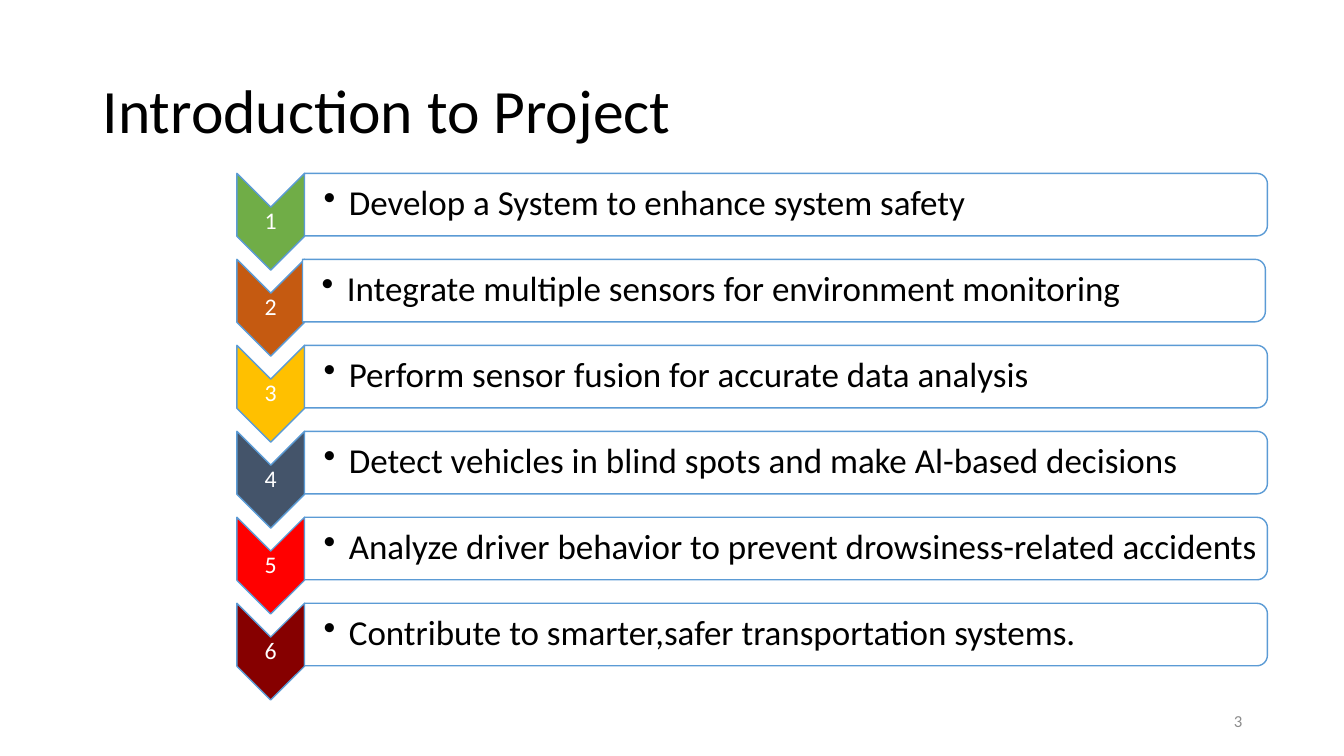
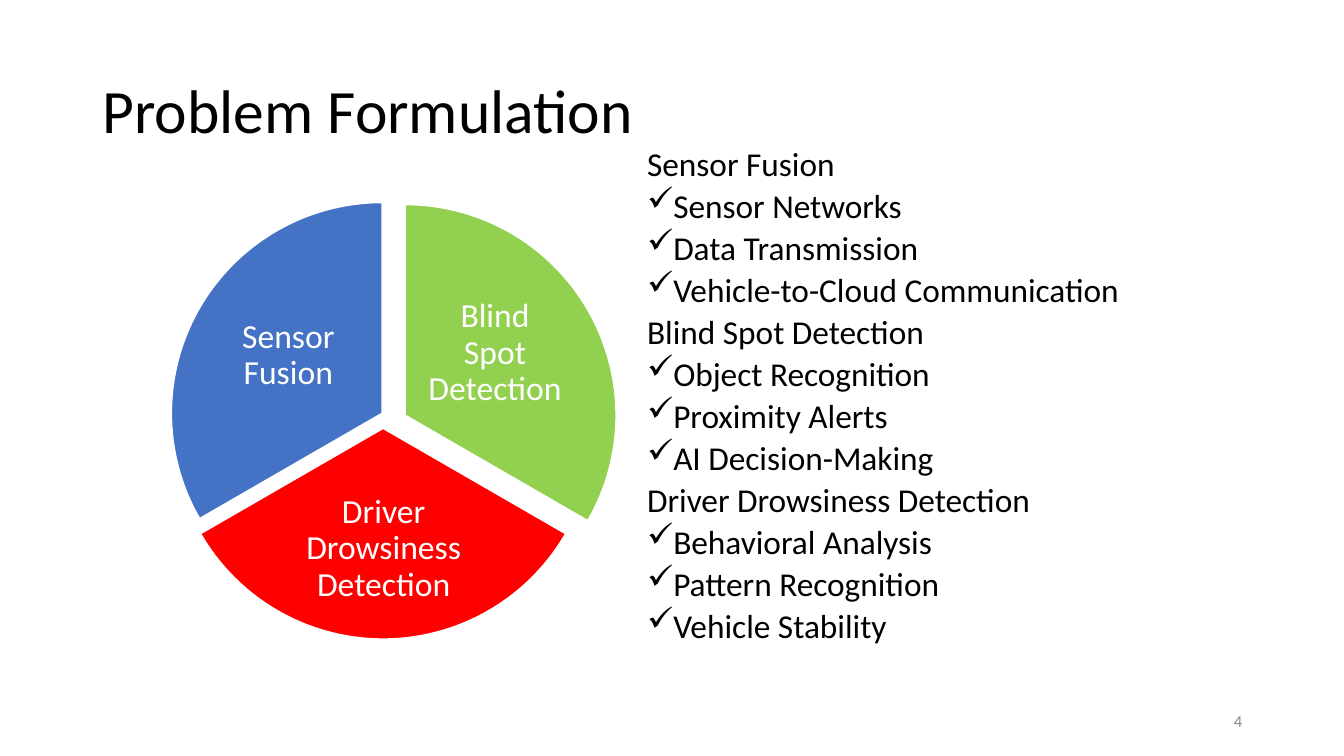
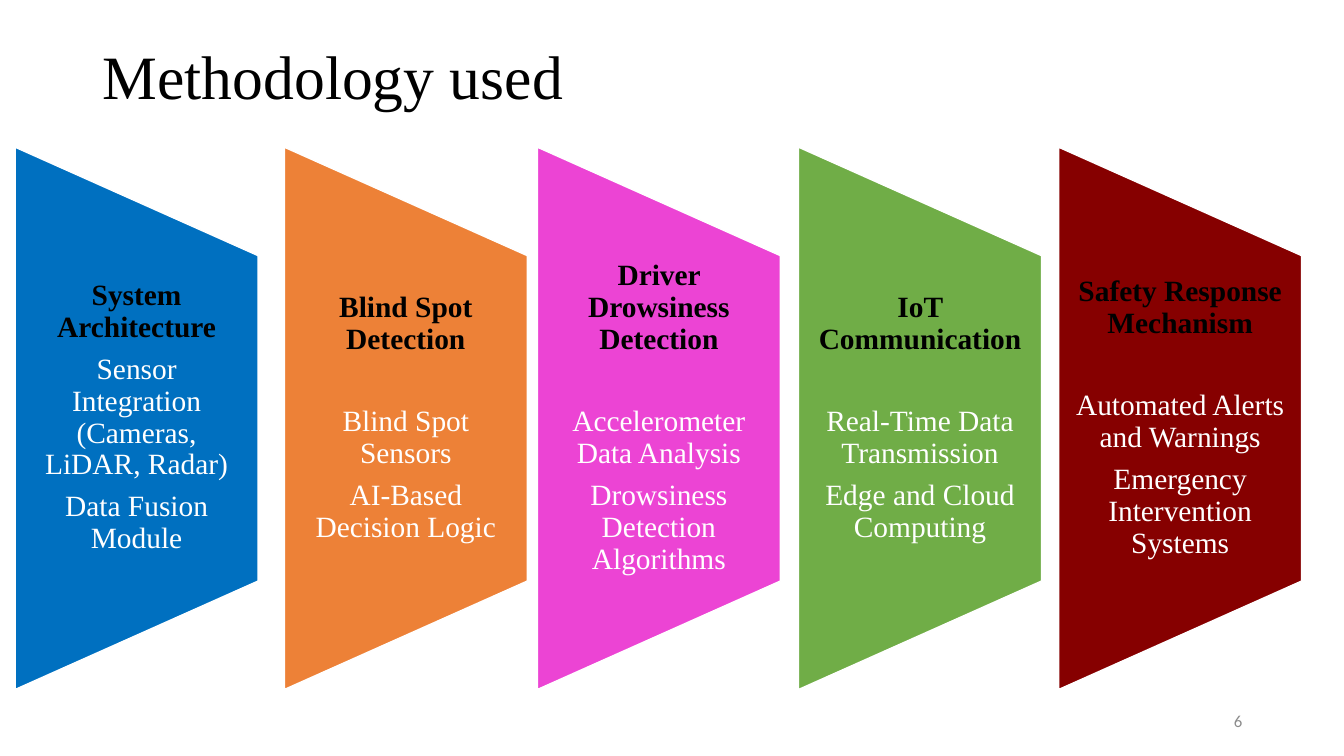
from lxml import etree
from pptx import Presentation
from pptx.dml.color import RGBColor
from pptx.enum.shapes import MSO_SHAPE
from pptx.enum.text import MSO_ANCHOR, PP_ALIGN
from pptx.oxml.ns import qn
from pptx.util import Inches, Pt

CHEVRON = MSO_SHAPE.CHEVRON
PANEL = MSO_SHAPE.ROUND_2_SAME_RECTANGLE
PIE = MSO_SHAPE.PIE
TRAPEZOID = MSO_SHAPE.FLOWCHART_MANUAL_OPERATION
TOP, MIDDLE = MSO_ANCHOR.TOP, MSO_ANCHOR.MIDDLE
LEFT, CENTER, RIGHT = PP_ALIGN.LEFT, PP_ALIGN.CENTER, PP_ALIGN.RIGHT

SANS, SERIF = "Calibri", "Times New Roman"
COLORS = {
    "black": "000000", "white": "FFFFFF", "gray": "8C8C8C", "outline": "5B9BD5",
    "green": "70AD47", "rust": "C55A11", "gold": "FFC000", "slate": "44546A",
    "red": "FF0000", "maroon": "860000", "lime": "92D050", "blue": "4472C4",
    "azure": "0070C0", "orange": "ED8137", "pink": "EC44D4",
}

GOALS = [
    ("green", "Develop a System to enhance system safety"),
    ("rust", "Integrate multiple sensors for environment monitoring"),
    ("gold", "Perform sensor fusion for accurate data analysis"),
    ("slate", "Detect vehicles in blind spots and make Al-based decisions"),
    ("red", "Analyze driver behavior to prevent drowsiness-related accidents"),
    ("maroon", "Contribute to smarter,safer transportation systems."),
]
SECTORS = [
    ("lime", 1.93, 2.03, 270, "Blind Spot Detection", (4.21, 2.81, 1.4, 1.39)),
    ("red", 1.71, 2.16, 30, "Driver Drowsiness Detection", (2.86, 4.8, 1.89, 1.29)),
    ("blue", 1.7, 2.01, 150, "Sensor Fusion", (2.16, 2.83, 1.4, 1.39)),
]
TOPICS = {
    "Sensor Fusion": ["Sensor Networks", "Data Transmission", "Vehicle-to-Cloud Communication"],
    "Blind Spot Detection": ["Object Recognition", "Proximity Alerts", "AI Decision-Making"],
    "Driver Drowsiness Detection": ["Behavioral Analysis", "Pattern Recognition", "Vehicle Stability"],
}
STAGES = [
    ("azure", 0.15, 7.35, "System Architecture",
     ["Sensor Integration (Cameras, LiDAR, Radar)", "Data Fusion Module"]),
    ("orange", 2.82, 36.4, "Blind Spot Detection",
     ["Blind Spot Sensors", "AI-Based Decision Logic"]),
    ("pink", 5.33, 36.4, "Driver Drowsiness Detection",
     ["Accelerometer Data Analysis", "Drowsiness Detection Algorithms"]),
    ("green", 7.92, 36.4, "IoT Communication",
     ["Real-Time Data Transmission", "Edge and Cloud Computing"]),
    ("maroon", 10.5, 36.4, "Safety Response Mechanism",
     ["Automated Alerts and Warnings", "Emergency Intervention Systems"]),
]


def color(name):
    return RGBColor.from_string(COLORS[name])


class Deck:
    def __init__(self):
        self.presentation = Presentation()
        self.presentation.slide_width = Inches(13.33)
        self.presentation.slide_height = Inches(7.5)
        self.slide = None

    def start_slide(self, title, number, font=SANS, title_top=0.4):
        self.slide = self.presentation.slides.add_slide(self.presentation.slide_layouts[6])
        frame = self.text_box(0.92, title_top, 11.5, 1.45)
        self.paragraph(frame, title, 44, font=font)
        frame = self.text_box(9.42, 6.95, 3, 0.4)
        self.paragraph(frame, str(number), 12, "gray", align=RIGHT, spacing=1)

    def text_box(self, left, top, width, height, insets=(0.1, 0.05, 0.1, 0.05), anchor=MIDDLE):
        box = self.slide.shapes.add_textbox(
            Inches(left), Inches(top), Inches(width), Inches(height))
        frame = box.text_frame
        frame.word_wrap = True
        frame.vertical_anchor = anchor
        (frame.margin_left, frame.margin_top,
         frame.margin_right, frame.margin_bottom) = map(Inches, insets)
        return frame

    def paragraph(self, frame, text, size, ink="black", font=SANS, bold=False, align=LEFT,
                  spacing=0.9, before=0, after=0, bullet=None):
        paragraph = frame.paragraphs[0] if not frame.text else frame.add_paragraph()
        paragraph.text = text
        paragraph.alignment = align
        paragraph.line_spacing = spacing
        paragraph.space_before, paragraph.space_after = Pt(before), Pt(after)
        run_font = paragraph.runs[0].font
        run_font.name, run_font.size, run_font.bold = font, Pt(size), bold
        run_font.color.rgb = color(ink)
        if bullet:
            properties = paragraph._p.get_or_add_pPr()
            properties.set("marL", str(Inches(0.25)))
            properties.set("indent", str(-Inches(0.25)))
            etree.SubElement(properties, qn("a:buChar")).set("char", bullet)

    def shape(self, kind, left, top, width, height, fill, line="white", rotation=0):
        if rotation:
            left, top = left + (width - height) / 2, top + (height - width) / 2
            width, height = height, width
        shape = self.slide.shapes.add_shape(
            kind, Inches(left), Inches(top), Inches(width), Inches(height))
        shape.rotation = rotation
        shape.shadow.inherit = False
        shape.fill.solid()
        shape.fill.fore_color.rgb = color(fill)
        shape.line.color.rgb = color(line)
        shape.line.width = Pt(1)
        return shape

    def goal(self, index, fill, text):
        top = 1.72 + 0.853 * index
        panel_left = 3.0 if index == 1 else 3.02
        self.shape(CHEVRON, 2.35, top, 0.67, 0.96, fill, "outline", 90)
        frame = self.text_box(2.35, top + 0.34, 0.67, 0.29, [0.01] * 4)
        self.paragraph(frame, str(index + 1), 17, "white", align=CENTER)
        self.shape(PANEL, panel_left, top, 9.55, 0.62, "white", "outline", 90)
        frame = self.text_box(panel_left, top + 0.03, 9.52, 0.56, (0.19, 0.02, 0.02, 0.02))
        self.paragraph(frame, text, 25, bullet="•")

    def sector(self, fill, left, top, start, text, text_area):
        pie = self.shape(PIE, left, top, 4.18, 4.18, fill)
        pie.adjustments[0] = start * 0.6
        pie.adjustments[1] = (start + 120) % 360 * 0.6
        frame = self.text_box(*text_area, insets=[0.03] * 4)
        self.paragraph(frame, text, 24, "white", align=CENTER)

    def topic_list(self, topics):
        frame = self.text_box(6.32, 1.48, 6.1, 5.27, anchor=TOP)
        for heading, items in topics.items():
            self.paragraph(frame, heading, 23.8, spacing=0.7, before=10)
            for item in items:
                self.paragraph(frame, item, 23.8, spacing=0.7, before=10, bullet="✓")

    def stage(self, fill, left, heading_gap, heading, items):
        self.shape(TRAPEZOID, left, 1.46, 2.41, 5.38, fill, rotation=270)
        frame = self.text_box(left, 2.53, 2.41, 3.23, (0.15, 0, 0.15, 0))
        self.paragraph(frame, heading, 21, font=SERIF, bold=True, align=CENTER,
                       after=heading_gap)
        for item in items:
            self.paragraph(frame, item, 21, "white", SERIF, align=CENTER, after=7.35)


def main():
    deck = Deck()

    deck.start_slide("Introduction to Project", 3)
    for index, (fill, text) in enumerate(GOALS):
        deck.goal(index, fill, text)

    deck.start_slide("Problem Formulation", 4)
    for sector in SECTORS:
        deck.sector(*sector)
    deck.topic_list(TOPICS)

    deck.start_slide("Methodology used", 6, SERIF, title_top=0.06)
    for stage in STAGES:
        deck.stage(*stage)

    deck.presentation.save("out.pptx")


if __name__ == "__main__":
    main()
